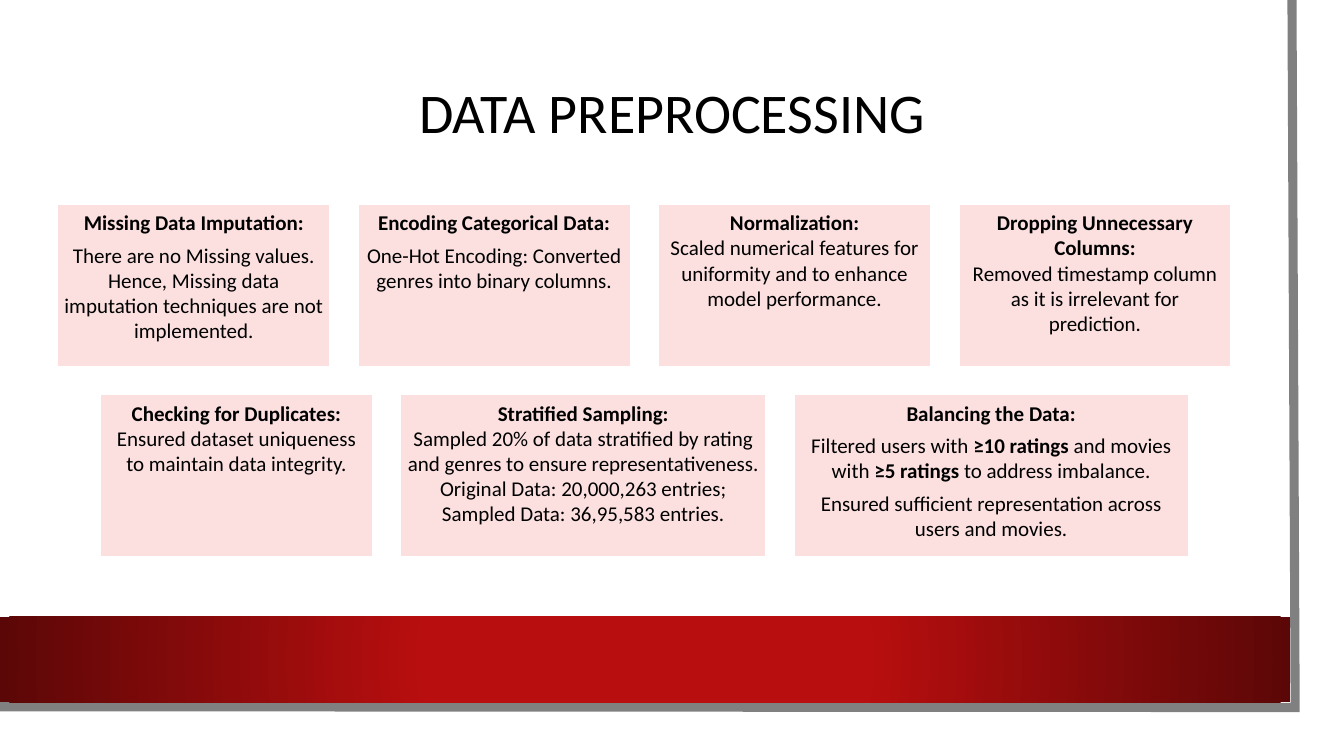
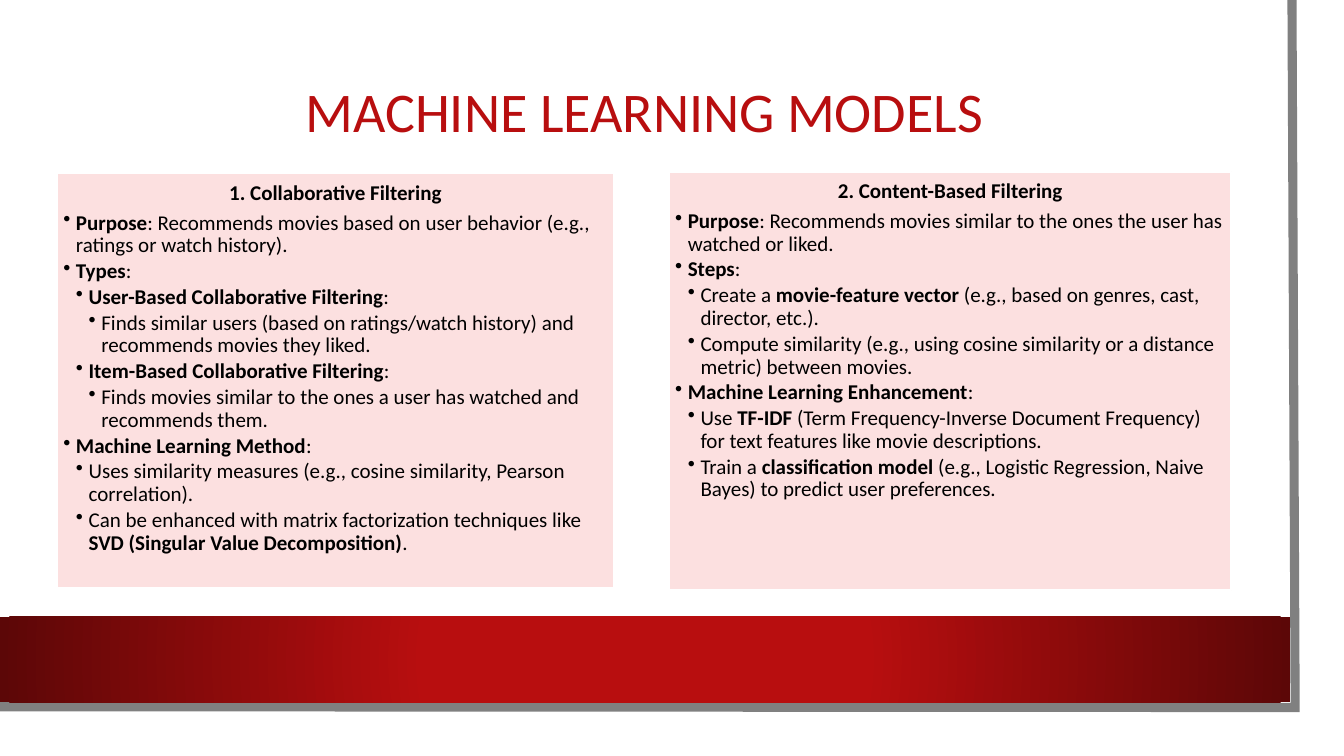
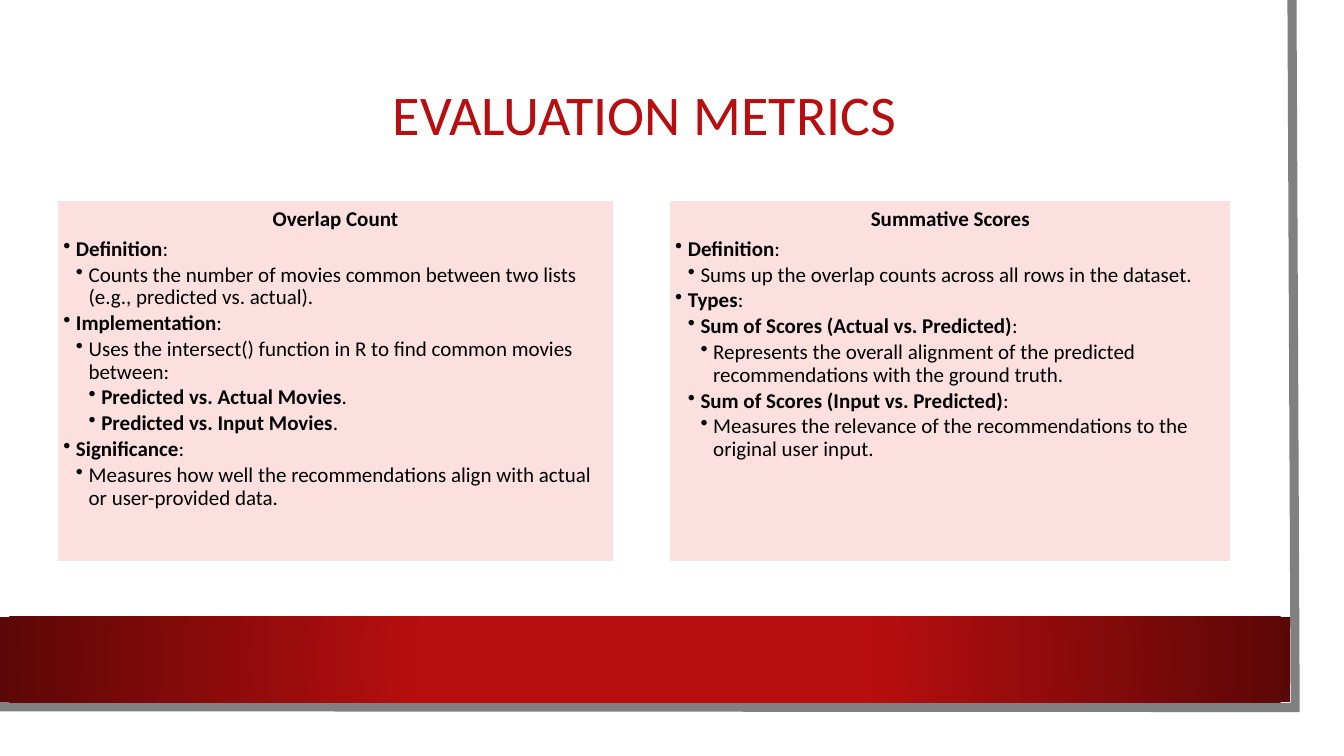
from dataclasses import dataclass

from lxml import etree
from pptx import Presentation
from pptx.dml.color import RGBColor
from pptx.enum.shapes import MSO_SHAPE
from pptx.enum.text import MSO_ANCHOR, PP_ALIGN
from pptx.oxml.ns import qn
from pptx.util import Cm, Pt

RECTANGLE = MSO_SHAPE.RECTANGLE
TOP, MIDDLE = MSO_ANCHOR.TOP, MSO_ANCHOR.MIDDLE
LEFT, CENTER = PP_ALIGN.LEFT, PP_ALIGN.CENTER

COLORS = {
    "black": "000000",
    "white": "FFFFFF",
    "red": "B80E0F",
    "dark red": "5C0707",
    "pink": "FBC5C5",
    "gray": "808080",
}
FONT = "Calibri"
SLIDE_WIDTH, SLIDE_HEIGHT = 33.87, 19.05
PAGE_CENTER = 16.24  # middle of the area inside the gray edge
TITLE_WIDTH, TITLE_HEIGHT = 21.46, 3.3
BODY_SIZE = 15
INSET = 0.15
INDENT = 0.32
CARD_WIDTH, CARD_HEIGHT = 6.88, 4.11
CARD_GAP, PANEL_GAP = 0.69, 1.4
PANEL_MIDDLE = 9.6


@dataclass(frozen=True)
class Line:
    """A paragraph; **marks** set bold, level 0 is centred without a bullet."""
    text: str
    level: int = 0


@dataclass(frozen=True)
class Card:
    lines: tuple[Line, ...]
    width: float = CARD_WIDTH
    height: float = CARD_HEIGHT


@dataclass(frozen=True)
class Row:
    """Cards side by side, centred on the page and on a middle line."""
    middle: float
    gap: float
    cards: tuple[Card, ...]


@dataclass(frozen=True)
class Page:
    title: str
    title_top: float
    rows: tuple[Row, ...]
    title_color: str = "red"
    title_center: float = PAGE_CENTER


PAGES = (
    Page("DATA PREPROCESSING", 1.27, (
        Row(7.19, CARD_GAP, (
            Card((
                Line("**Missing Data Imputation:**"),
                Line("There are no Missing values. Hence, Missing data imputation "
                     "techniques are not implemented."),
            )),
            Card((
                Line("**Encoding Categorical Data:**"),
                Line("One-Hot Encoding: Converted genres into binary columns."),
            )),
            Card((
                Line("**Normalization:**\nScaled numerical features for uniformity "
                     "and to enhance model performance."),
            )),
            Card((
                Line("**Dropping Unnecessary Columns:**\nRemoved timestamp column "
                     "as it is irrelevant for prediction."),
            )),
        )),
        Row(11.99, CARD_GAP, (
            Card((
                Line("**Checking for Duplicates:**\nEnsured dataset uniqueness "
                     "to maintain data integrity."),
            )),
            Card((
                Line("**Stratified Sampling:**\nSampled 20% of data stratified by rating "
                     "and genres to ensure representativeness.\n"
                     "Original Data: 20,000,263 entries; Sampled Data: 36,95,583 entries."),
            ), width=9.22),
            Card((
                Line("**Balancing the Data:**"),
                Line("Filtered users with **≥10 ratings** and movies with "
                     "**≥5 ratings** to address imbalance."),
                Line("Ensured sufficient representation across users and movies."),
            ), width=9.96),
        )),
    ), title_color="black", title_center=SLIDE_WIDTH / 2),
    Page("MACHINE LEARNING MODELS", 1.24, (
        Row(PANEL_MIDDLE, PANEL_GAP, (
            Card((
                Line("**1. Collaborative Filtering**"),
                Line("**Purpose**: Recommends movies based on user behavior "
                     "(e.g., ratings or watch history).", 1),
                Line("**Types**:", 1),
                Line("**User-Based Collaborative Filtering**:", 2),
                Line("Finds similar users (based on ratings/watch history) "
                     "and recommends movies they liked.", 3),
                Line("**Item-Based Collaborative Filtering**:", 2),
                Line("Finds movies similar to the ones a user has watched "
                     "and recommends them.", 3),
                Line("**Machine Learning Method**:", 1),
                Line("Uses similarity measures (e.g., cosine similarity, "
                     "Pearson correlation).", 2),
                Line("Can be enhanced with matrix factorization techniques like "
                     "**SVD (Singular Value Decomposition)**.", 2),
            ), 14.02, 10.46),
            Card((
                Line("**2. Content-Based Filtering**"),
                Line("**Purpose**: Recommends movies similar to the ones "
                     "the user has watched or liked.", 1),
                Line("**Steps**:", 1),
                Line("Create a **movie-feature vector** (e.g., based on genres, "
                     "cast, director, etc.).", 2),
                Line("Compute similarity (e.g., using cosine similarity "
                     "or a distance metric) between movies.", 2),
                Line("**Machine Learning Enhancement**:", 1),
                Line("Use **TF-IDF** (Term Frequency-Inverse Document Frequency) "
                     "for text features like movie descriptions.", 2),
                Line("Train a **classification model** (e.g., Logistic Regression, "
                     "Naive Bayes) to predict user preferences.", 2),
            ), 14.17, 10.54),
        )),
    )),
    Page("EVALUATION METRICS", 1.32, (
        Row(PANEL_MIDDLE, PANEL_GAP, (
            Card((
                Line("**Overlap Count**"),
                Line("**Definition**:", 1),
                Line("Counts the number of movies common between two lists "
                     "(e.g., predicted vs. actual).", 2),
                Line("**Implementation**:", 1),
                Line("Uses the intersect() function in R to find common "
                     "movies between:", 2),
                Line("**Predicted vs. Actual Movies**.", 3),
                Line("**Predicted vs. Input Movies**.", 3),
                Line("**Significance**:", 1),
                Line("Measures how well the recommendations align with actual "
                     "or user-provided data.", 2),
            ), 14.02, 9.14),
            Card((
                Line("**Summative Scores**"),
                Line("**Definition**:", 1),
                Line("Sums up the overlap counts across all rows in the dataset.", 2),
                Line("**Types**:", 1),
                Line("**Sum of Scores (Actual vs. Predicted)**:", 2),
                Line("Represents the overall alignment of the predicted "
                     "recommendations with the ground truth.", 3),
                Line("**Sum of Scores (Input vs. Predicted)**:", 2),
                Line("Measures the relevance of the recommendations "
                     "to the original user input.", 3),
            ), 14.17, 9.14),
        )),
    )),
)


def rgb(name: str) -> RGBColor:
    return RGBColor.from_string(COLORS[name])


def write(frame, text: str, *, size: float = BODY_SIZE, color: str = "black",
          align=CENTER, level: int = 0, line_spacing: float = 1.0,
          space_after: float = 0) -> None:
    """Add a paragraph, filling the empty first one before making more."""
    paragraph = frame.paragraphs[0]
    if paragraph.runs:
        paragraph = frame.add_paragraph()
    paragraph.alignment = align
    paragraph.line_spacing = line_spacing
    paragraph.space_after = Pt(space_after)
    if level:
        paragraph.level = level
        properties = paragraph._p.get_or_add_pPr()
        properties.set("marL", str(Cm(INDENT * level)))
        properties.set("indent", str(-Cm(INDENT)))
        etree.SubElement(properties, qn("a:buChar")).set("char", "•")
    for part, words in enumerate(text.split("**")):
        for row, piece in enumerate(words.split("\n")):
            if row:
                paragraph.add_line_break()
            if piece:
                run = paragraph.add_run()
                run.text = piece
                run.font.name = FONT
                run.font.size = Pt(size)
                run.font.bold = part % 2 == 1
                run.font.color.rgb = rgb(color)


def prepare_frame(shape, anchor):
    frame = shape.text_frame
    frame.word_wrap = True
    frame.vertical_anchor = anchor
    frame.margin_left = frame.margin_right = Cm(INSET)
    frame.margin_top = frame.margin_bottom = Cm(INSET)
    return frame


def draw_edge(slide) -> None:
    """Draw the gray line along the right and bottom of the page."""
    builder = slide.shapes.build_freeform(Cm(32.56), 0)
    builder.add_line_segments([(Cm(32.64), Cm(17.83)), (0, Cm(17.81))], close=False)
    edge = builder.convert_to_shape()
    edge.shadow.inherit = False
    edge.fill.background()
    edge.line.color.rgb = rgb("gray")
    edge.line.width = Pt(6.5)
    outline = edge._element.spPr.find(qn("a:ln"))
    etree.SubElement(outline, qn("a:miter")).set("lim", "800000")


def draw_band(slide) -> None:
    """Draw the red band, darkening from its centre outwards."""
    band = slide.shapes.add_shape(RECTANGLE, 0, Cm(15.54), Cm(32.51), Cm(2.16))
    band.shadow.inherit = False
    band.line.fill.background()
    band.fill.gradient()
    stops = (("red", 0.34), ("dark red", 1.0))
    for stop, (color, position) in zip(band.fill.gradient_stops, stops):
        stop.color.rgb = rgb(color)
        stop.position = position
    gradient = band._element.spPr.find(qn("a:gradFill"))
    gradient.remove(gradient.find(qn("a:lin")))
    circle = etree.SubElement(gradient, qn("a:path"))
    circle.set("path", "circle")
    focus = etree.SubElement(circle, qn("a:fillToRect"))
    for side in "ltrb":
        focus.set(side, "50000")


def draw_title(slide, page: Page) -> None:
    title = slide.shapes.add_textbox(
        Cm(page.title_center - TITLE_WIDTH / 2), Cm(page.title_top),
        Cm(TITLE_WIDTH), Cm(TITLE_HEIGHT))
    write(prepare_frame(title, MIDDLE), page.title, size=40,
          color=page.title_color, line_spacing=0.9)


def draw_card(slide, card: Card, left: float, top: float) -> None:
    box = slide.shapes.add_shape(
        RECTANGLE, Cm(left), Cm(top), Cm(card.width), Cm(card.height))
    box.shadow.inherit = False
    box.fill.solid()
    box.fill.fore_color.rgb = rgb("pink")
    tint = box._element.spPr.find(qn("a:solidFill"))[0]
    etree.SubElement(tint, qn("a:alpha")).set("val", "52000")
    box.line.color.rgb = rgb("white")
    box.line.width = Pt(1.5)
    frame = prepare_frame(box, TOP)
    for line in card.lines:
        if line.level:
            write(frame, line.text, align=LEFT, level=line.level,
                  line_spacing=0.9, space_after=2.25)
        else:
            write(frame, line.text, space_after=5.25)


def draw_row(slide, row: Row) -> None:
    total = sum(card.width for card in row.cards) + row.gap * (len(row.cards) - 1)
    left = PAGE_CENTER - total / 2
    for card in row.cards:
        draw_card(slide, card, left, row.middle - card.height / 2)
        left += card.width + row.gap


def main() -> None:
    deck = Presentation()
    deck.slide_width, deck.slide_height = Cm(SLIDE_WIDTH), Cm(SLIDE_HEIGHT)
    blank = deck.slide_layouts[6]
    for page in PAGES:
        slide = deck.slides.add_slide(blank)
        draw_edge(slide)
        draw_band(slide)
        draw_title(slide, page)
        for row in page.rows:
            draw_row(slide, row)
    deck.save("out.pptx")


if __name__ == "__main__":
    main()
